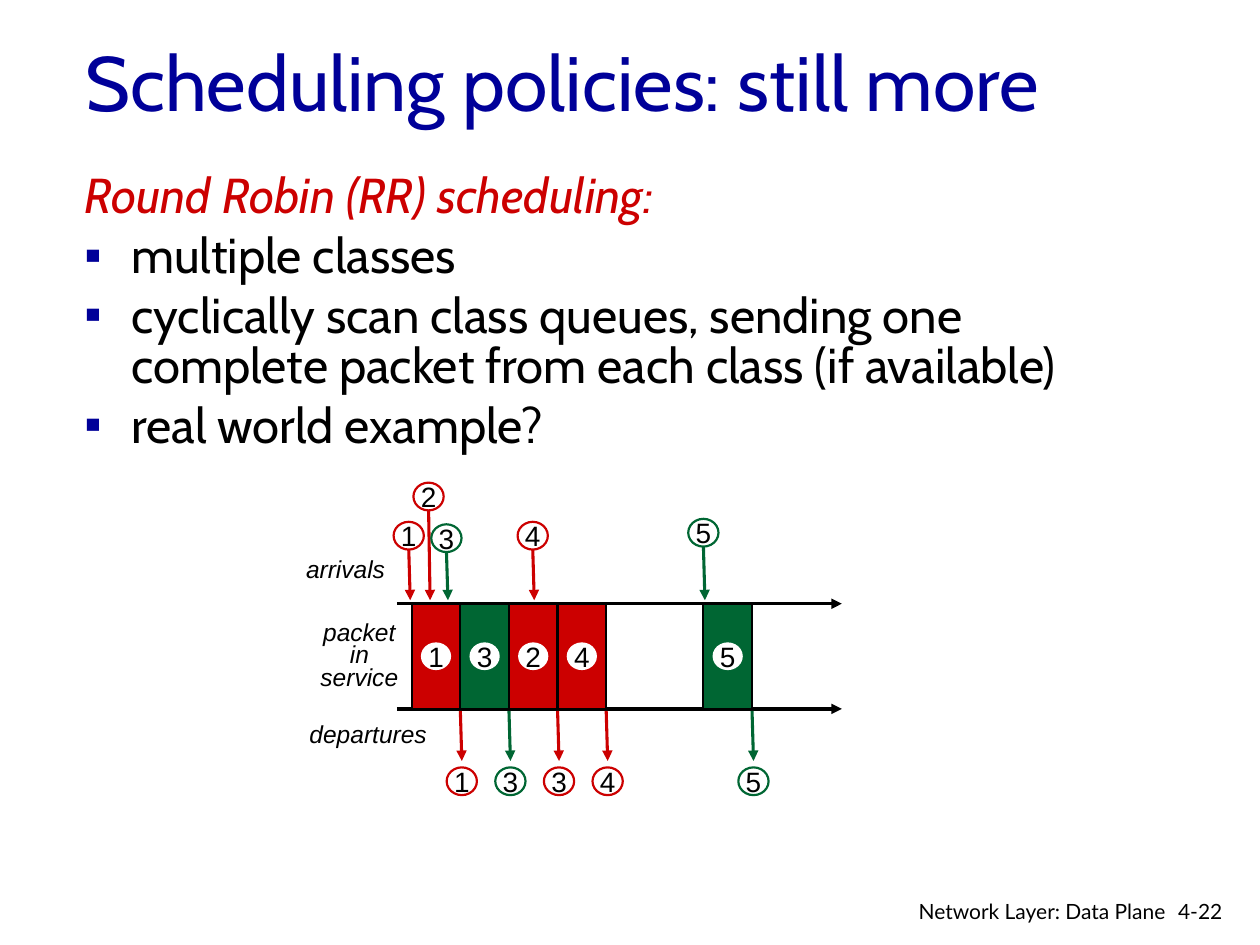
"""Build a slide on round robin scheduling with a packet timeline."""
from dataclasses import dataclass

from lxml import etree
from pptx import Presentation
from pptx.dml.color import RGBColor
from pptx.enum.shapes import MSO_CONNECTOR, MSO_SHAPE
from pptx.enum.text import MSO_ANCHOR, MSO_AUTO_SIZE, PP_ALIGN
from pptx.oxml.ns import qn
from pptx.util import Cm, Pt

STRAIGHT = MSO_CONNECTOR.STRAIGHT
RECT, OVAL = MSO_SHAPE.RECTANGLE, MSO_SHAPE.OVAL
MIDDLE, TOP = MSO_ANCHOR.MIDDLE, MSO_ANCHOR.TOP
LEFT, CENTER, RIGHT = PP_ALIGN.LEFT, PP_ALIGN.CENTER, PP_ALIGN.RIGHT
GROW = MSO_AUTO_SIZE.SHAPE_TO_FIT_TEXT

BLUE = RGBColor(0x00, 0x00, 0x99)
RED = RGBColor(0xCC, 0x00, 0x00)
GREEN = RGBColor(0x00, 0x66, 0x33)
BLACK = RGBColor(0x00, 0x00, 0x00)
WHITE = RGBColor(0xFF, 0xFF, 0xFF)

SLOT_X, SLOT_W = 8.3, 0.98
ARRIVAL_Y, DEPARTURE_Y = 12.17, 14.29
BADGE_W, BADGE_H = 0.61, 0.56
LABEL_W, LABEL_H = 0.84, 0.94
DRIFT = 0.03


@dataclass
class Packet:
    label: str
    slot: int
    color: RGBColor


@dataclass
class Arrival:
    label: str
    x: float
    y: float
    color: RGBColor


@dataclass
class Departure:
    label: str
    slots: int
    color: RGBColor


@dataclass
class Label:
    text: str
    box: tuple[float, float, float, float]
    size: float
    font: str
    color: RGBColor = BLACK
    italic: bool = False
    align: PP_ALIGN = LEFT
    anchor: MSO_ANCHOR = TOP
    wrap: bool = True
    grow: bool = False
    leading: float | None = None


PACKETS = [
    Packet("1", 0, RED),
    Packet("2", 2, RED),
    Packet("3", 1, GREEN),
    Packet("4", 3, RED),
    Packet("5", 6, GREEN),
]
ARRIVALS = [
    Arrival("5", 14.18, 10.74, GREEN),
    Arrival("2", 8.64, 10.01, RED),
    Arrival("1", 8.24, 10.8, RED),
    Arrival("3", 9.0, 10.85, GREEN),
    Arrival("4", 10.74, 10.8, RED),
]
DEPARTURES = [
    Departure("5", 7, GREEN),
    Departure("3", 2, GREEN),
    Departure("1", 1, RED),
    Departure("3", 3, RED),
    Departure("4", 4, RED),
]
TITLE = Label("Scheduling policies: still more", (1.47, 0.03, 21.59, 3.18), 44,
              "Cabin", BLUE, anchor=MIDDLE)
CAPTIONS = [
    Label("arrivals", (5.92, 11.05, 2.24, 0.86), 14, "Arial", italic=True,
          wrap=False, grow=True),
    Label("departures", (5.99, 14.38, 3.02, 0.86), 14, "Arial", italic=True,
          wrap=False, grow=True),
    Label("packet in service", (6.05, 12.45, 2.39, 1.65), 14, "Arial",
          italic=True, align=CENTER, grow=True, leading=12.8),
    Label("4-22", (23.5, 17.98, 1.55, 0.76), 12, "Lato"),
    Label("Network Layer: Data Plane", (17.7, 17.98, 6.05, 0.66), 12, "Lato",
          align=RIGHT),
]
HEADING = "Round Robin (RR) scheduling:"
POINTS = [
    "multiple classes",
    "cyclically scan class queues, sending one complete packet from each "
    "class (if available)",
    "real world example?",
]


def add_run(p, text: str, size: float, font: str, color: RGBColor,
            italic: bool = False) -> None:
    r = p.add_run()
    r.text = text
    r.font.size, r.font.name, r.font.italic = Pt(size), font, italic
    r.font.color.rgb = color


def add_label(s, label: Label) -> None:
    tf = s.shapes.add_textbox(*map(Cm, label.box)).text_frame
    tf.word_wrap, tf.vertical_anchor = label.wrap, label.anchor
    if label.grow:
        tf.auto_size = GROW
    p = tf.paragraphs[0]
    p.alignment = label.align
    if label.leading:
        p.line_spacing = Pt(label.leading)
    add_run(p, label.text, label.size, label.font, label.color, label.italic)


def add_body(s) -> None:
    tf = s.shapes.add_textbox(Cm(1.45), Cm(3.38), Cm(21.59), Cm(2.11)).text_frame
    tf.word_wrap = True
    for i, text in enumerate([HEADING, *POINTS]):
        p = tf.add_paragraph() if i else tf.paragraphs[0]
        p.line_spacing, p.space_before = 0.85, Pt(5.6)
        pPr = p._p.get_or_add_pPr()
        pPr.set("marL", str(Cm(0.95)))
        pPr.set("indent", str(-Cm(0.95)))
        if i:
            clr = etree.SubElement(pPr, qn("a:buClr"))
            etree.SubElement(clr, qn("a:srgbClr"), val=str(BLUE))
            etree.SubElement(pPr, qn("a:buFont"), typeface="Arial")
            etree.SubElement(pPr, qn("a:buChar"), char="▪")
        add_run(p, text, 28, "Cabin", BLACK if i else RED, not i)


def add_arrow(s, x1: float, y1: float, x2: float, y2: float,
              color: RGBColor, width: float) -> None:
    c = s.shapes.add_connector(STRAIGHT, Cm(x1), Cm(y1), Cm(x2), Cm(y2))
    c.line.color.rgb, c.line.width = color, Pt(width)
    etree.SubElement(c.line._get_or_add_ln(), qn("a:tailEnd"), type="triangle")
    etree.SubElement(c._element.spPr, qn("a:effectLst"))


def add_outline(s, kind: MSO_SHAPE, x: float, y: float, w: float, h: float,
                fill: RGBColor, line: RGBColor | None) -> None:
    sp = s.shapes.add_shape(kind, Cm(x), Cm(y), Cm(w), Cm(h))
    sp.shadow.inherit = False
    sp.fill.solid()
    sp.fill.fore_color.rgb = fill
    if line is None:
        sp.line.fill.background()
    else:
        sp.line.color.rgb, sp.line.width = line, Pt(1.25)


def add_badge(s, text: str, x: float, y: float,
              line: RGBColor | None = None) -> None:
    add_outline(s, OVAL, x - BADGE_W / 2, y - BADGE_H / 2, BADGE_W, BADGE_H,
                WHITE, line)
    box = (x - LABEL_W / 2, y - LABEL_H / 2, LABEL_W, LABEL_H)
    add_label(s, Label(text, box, 16, "Arial", align=CENTER, wrap=False,
                       grow=True))


def add_timeline(s) -> None:
    for y in (ARRIVAL_Y, DEPARTURE_Y):
        add_arrow(s, 8.0, y, 16.97, y, BLACK, 2)
    for packet in PACKETS:
        x = SLOT_X + packet.slot * SLOT_W
        add_outline(s, RECT, x, ARRIVAL_Y, SLOT_W, DEPARTURE_Y - ARRIVAL_Y,
                    packet.color, BLACK)
        add_badge(s, packet.label, x + SLOT_W / 2, 13.23)
    for a in ARRIVALS:
        add_arrow(s, a.x, a.y + BADGE_H / 2, a.x + DRIFT, 12.1, a.color, 1.75)
        add_badge(s, a.label, a.x, a.y, a.color)
    for d in DEPARTURES:
        x = SLOT_X + d.slots * SLOT_W
        add_arrow(s, x, 14.33, x + DRIFT, 15.34, d.color, 1.75)
        add_badge(s, d.label, x + DRIFT, 15.75, d.color)


def main() -> None:
    prs = Presentation()
    prs.slide_width, prs.slide_height = Cm(25.4), Cm(19.05)
    s = prs.slides.add_slide(prs.slide_layouts[6])
    add_label(s, TITLE)
    add_body(s)
    add_timeline(s)
    for caption in CAPTIONS:
        add_label(s, caption)
    prs.save("out.pptx")


if __name__ == "__main__":
    main()
